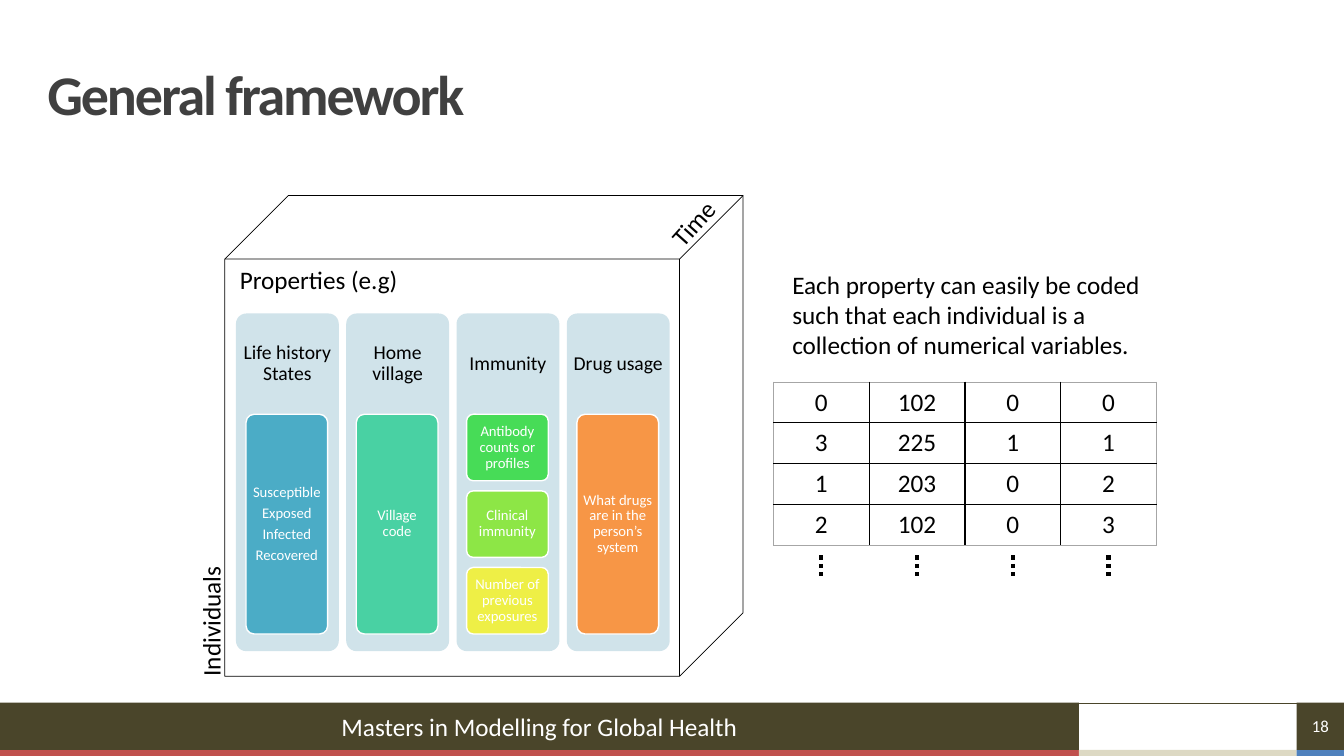
from lxml.etree import SubElement
from pptx import Presentation
from pptx.dml.color import RGBColor
from pptx.enum.dml import MSO_LINE
from pptx.enum.shapes import MSO_CONNECTOR, MSO_SHAPE
from pptx.enum.text import MSO_ANCHOR, PP_ALIGN
from pptx.oxml.ns import qn
from pptx.util import Inches, Pt

TITLE = "General framework"
FOOTER = "Masters in Modelling for Global Health"
PAGE_NUMBER = "18"
EXPLANATION = ("Each property can easily be coded such that each individual "
               "is a collection of numerical variables.")
CUBE_LABELS = [
    ("Individuals", (0.78, 5.3, 2.62, 0.4), 270),
    ("Properties (e.g)", (2.28, 2.57, 1.98, 0.4), 0),
    ("Time", (6.31, 1.54, 1.98, 0.4), 311.9),
]
PROPERTIES = [
    ("Life history States", [("Susceptible\nExposed\nInfected\nRecovered", "4BACC6")]),
    ("Home village", [("Village code", "49D1A3")]),
    ("Immunity", [
        ("Antibody counts or profiles", "47DC57"),
        ("Clinical immunity", "8DE646"),
        ("Number of previous exposures", "EEEF46"),
    ]),
    ("Drug usage", [("What drugs are in the person’s system", "F79646")]),
]
CODES = [
    (0, 102, 0, 0),
    (3, 225, 1, 1),
    (1, 203, 0, 2),
    (2, 102, 0, 3),
]

THEME = {
    "font": "Calibri",
    "black": "000000", "white": "FFFFFF", "title": "404040",
    "bar": "4A452A", "red": "C0504D", "sand": "DDD9C3", "blue": "4F81BD",
    "panel": "D0E3EA", "edge": "A6A6A6",
    "title_size": 40, "body_size": 18, "heading_size": 14,
    "number_size": 12, "card_size": 10.5,
}
SLIDE_WIDTH, SLIDE_HEIGHT = 13.33, 7.5
BAR_TOP, STRIP_TOP = 6.97, 7.44
BAR_RIGHT, NUMBER_LEFT = 10.7, 12.86
PANEL_LEFT, PANEL_TOP, PANEL_WIDTH, PANEL_HEIGHT = 2.34, 3.11, 1.02, 3.35
PANEL_PITCH, HEADING_HEIGHT = 1.094, 1
CARD_INDENT, CARD_WIDTH, CARDS_HEIGHT, CARD_GAP = 0.1, 0.81, 2.18, 0.1
TABLE_LEFT, TABLE_TOP, CELL_WIDTH, CELL_HEIGHT = 7.67, 3.79, 0.95, 0.405
DOTS_TOP, DOTS_BOTTOM = 5.51, 5.72
TEXT_INSETS = (0.1, 0.05, 0.1, 0.05)

presentation = Presentation()
presentation.slide_width = Inches(SLIDE_WIDTH)
presentation.slide_height = Inches(SLIDE_HEIGHT)
slide = presentation.slides.add_slide(presentation.slide_layouts[6])


def color(value):
    return RGBColor.from_string(value)


def write(frame, text, size=THEME["body_size"], ink=THEME["black"], bold=False,
          align=PP_ALIGN.LEFT, anchor=MSO_ANCHOR.TOP, insets=TEXT_INSETS,
          line_spacing=None, after=0, tracking=None):
    frame.word_wrap = True
    frame.vertical_anchor = anchor
    (frame.margin_left, frame.margin_top,
     frame.margin_right, frame.margin_bottom) = map(Inches, insets)
    for index, line in enumerate(text.split("\n")):
        paragraph = frame.add_paragraph() if index else frame.paragraphs[0]
        paragraph.alignment = align
        paragraph.space_after = Pt(after)
        if line_spacing:
            paragraph.line_spacing = line_spacing
        run = paragraph.add_run()
        run.text = line
        run.font.name = THEME["font"]
        run.font.size = Pt(size)
        run.font.bold = bold
        run.font.color.rgb = color(ink)
        if tracking:
            run._r.get_or_add_rPr().set("spc", str(tracking))


def add_text(box, text, rotation=0, **text_format):
    shape = slide.shapes.add_textbox(*map(Inches, box))
    shape.rotation = rotation
    write(shape.text_frame, text, **text_format)


def add_block(kind, box, fill=None, line=None, line_width=1, adjustment=None):
    shape = slide.shapes.add_shape(kind, *map(Inches, box))
    shape.shadow.inherit = False
    if fill:
        shape.fill.solid()
        shape.fill.fore_color.rgb = color(fill)
    else:
        shape.fill.background()
    if line:
        shape.line.color.rgb = color(line)
        shape.line.width = Pt(line_width)
    else:
        shape.line.fill.background()
    if adjustment is not None:
        shape.adjustments[0] = adjustment
    return shape


def add_line(start, end, ink, width, dash=None):
    connector = slide.shapes.add_connector(
        MSO_CONNECTOR.STRAIGHT, *map(Inches, start + end))
    connector.line.color.rgb = color(ink)
    connector.line.width = Pt(width)
    if dash:
        connector.line.dash_style = dash
    SubElement(connector._element.spPr, qn("a:effectLst"))


def set_border(cell, side, ink, width):
    line = SubElement(cell._tc.get_or_add_tcPr(), qn(f"a:{side}"), w=str(Pt(width)))
    SubElement(SubElement(line, qn("a:solidFill")), qn("a:srgbClr"), val=ink)


def add_footer():
    bar_height, strip_height = STRIP_TOP - BAR_TOP, SLIDE_HEIGHT - STRIP_TOP
    centred = {"ink": THEME["white"], "align": PP_ALIGN.CENTER, "anchor": MSO_ANCHOR.MIDDLE}
    number_width = SLIDE_WIDTH - NUMBER_LEFT
    strips = [
        (0, BAR_RIGHT, "red"),
        (BAR_RIGHT, NUMBER_LEFT, "sand"),
        (NUMBER_LEFT, SLIDE_WIDTH, "blue"),
    ]
    for left, right, name in strips:
        add_block(MSO_SHAPE.RECTANGLE, (left, STRIP_TOP, right - left, strip_height), THEME[name])
    bar = add_block(MSO_SHAPE.RECTANGLE, (0, BAR_TOP, BAR_RIGHT, bar_height), THEME["bar"])
    write(bar.text_frame, FOOTER, **centred)
    add_line((0, 6.98), (SLIDE_WIDTH, 6.98), THEME["bar"], 0.5)
    number = add_block(MSO_SHAPE.RECTANGLE,
                       (NUMBER_LEFT, BAR_TOP, number_width, bar_height), THEME["bar"])
    write(number.text_frame, PAGE_NUMBER, size=THEME["number_size"],
          insets=(0, 0, 0, 0), **centred)


def add_cube():
    add_block(MSO_SHAPE.CUBE, (2.23, 1.94, 5.14, 4.77), line=THEME["black"],
              line_width=0.5, adjustment=0.132)
    for text, box, rotation in CUBE_LABELS:
        add_text(box, text, rotation=rotation)
    centred = {"align": PP_ALIGN.CENTER, "anchor": MSO_ANCHOR.MIDDLE, "line_spacing": 0.9}
    for column, (heading, cards) in enumerate(PROPERTIES):
        left = PANEL_LEFT + column * PANEL_PITCH
        panel = add_block(MSO_SHAPE.ROUNDED_RECTANGLE,
                          (left, PANEL_TOP, PANEL_WIDTH, PANEL_HEIGHT),
                          THEME["panel"], adjustment=0.1)
        write(panel.text_frame, heading, size=THEME["heading_size"], after=5,
              insets=(0.02, 0.03, 0.02, PANEL_HEIGHT - HEADING_HEIGHT + 0.03), **centred)
        height = (CARDS_HEIGHT - CARD_GAP * (len(cards) - 1)) / len(cards)
        for row, (text, fill) in enumerate(cards):
            top = PANEL_TOP + HEADING_HEIGHT + row * (height + CARD_GAP)
            card = add_block(MSO_SHAPE.ROUNDED_RECTANGLE,
                             (left + CARD_INDENT, top, CARD_WIDTH, height),
                             fill, line=THEME["white"], adjustment=0.1)
            write(card.text_frame, text, size=THEME["card_size"], ink=THEME["white"],
                  after=3.7, insets=(0.03, 0.02, 0.03, 0.02), **centred)


def add_codes():
    row_count, column_count = len(CODES), len(CODES[0])
    box = (TABLE_LEFT, TABLE_TOP, CELL_WIDTH * column_count, CELL_HEIGHT * row_count)
    table = slide.shapes.add_table(row_count, column_count, *map(Inches, box)).table
    table.first_row = table.horz_banding = False
    for row, values in enumerate(CODES):
        for column, value in enumerate(values):
            cell = table.cell(row, column)
            write(cell.text_frame, str(value), align=PP_ALIGN.CENTER)
            cell.vertical_anchor = MSO_ANCHOR.MIDDLE
            outer_sides = {"lnL": column == 0, "lnR": column == column_count - 1,
                           "lnT": row == 0, "lnB": row == row_count - 1}
            for side, outer in outer_sides.items():
                set_border(cell, side, THEME["edge" if outer else "black"], 0.5 if outer else 1)
            cell.fill.background()
    for column in range(column_count):
        center = TABLE_LEFT + (column + 0.5) * CELL_WIDTH
        add_line((center, DOTS_TOP), (center, DOTS_BOTTOM), THEME["black"], 3,
                 dash=MSO_LINE.ROUND_DOT)


add_footer()
add_text((0.47, 0.5, 12.39, 0.93), TITLE, size=THEME["title_size"], ink=THEME["title"],
         bold=True, anchor=MSO_ANCHOR.MIDDLE, insets=(0, 0, 0, 0),
         line_spacing=0.9, tracking=-150)
add_cube()
add_text((7.76, 2.62, 3.9, 1.01), EXPLANATION)
add_codes()
presentation.save("out.pptx")
